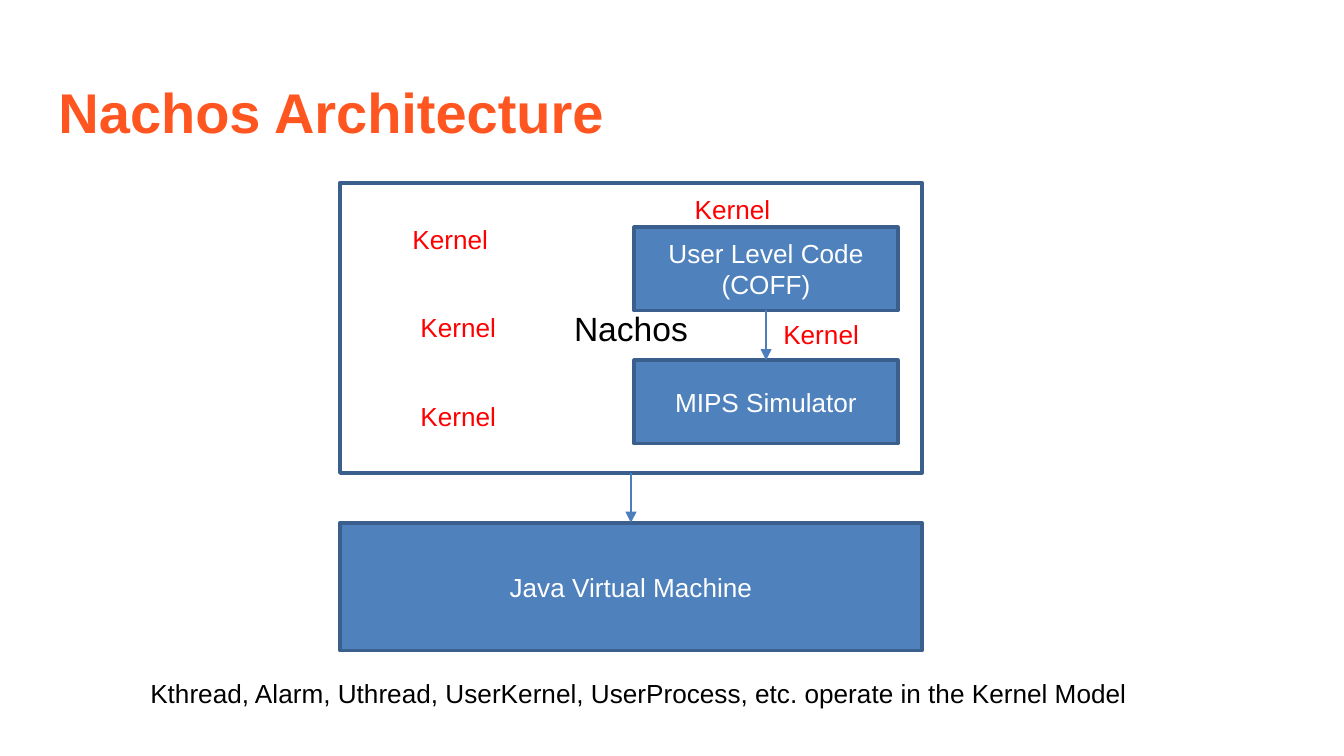
from dataclasses import dataclass
from typing import Optional

from lxml import etree
from pptx import Presentation
from pptx import util as u
from pptx.dml.color import RGBColor
from pptx.enum import shapes, text
from pptx.oxml import ns

SCALE = 4572
FONT = "Arial"
COLORS = {
    "title": "FF5621",
    "box": "4F81BD",
    "border": "3A5F8C",
    "arrow": "4B7EBC",
    "kernel": "FF0000",
    "light": "FFFFFF",
    "dark": "000000",
}


@dataclass
class Box:
    label: str
    x: int
    y: int
    w: int
    h: int
    fill: Optional[str] = "box"
    color: str = "light"
    size: int = 14


@dataclass
class Label:
    label: str
    x: int
    y: int
    w: int = 192
    h: int = 68
    color: str = "kernel"
    wrap: bool = True


JVM = Box("Java Virtual Machine", 506, 778, 866, 190)
MIPS = Box("MIPS Simulator", 944, 536, 392, 124)
NACHOS = Box("Nachos", 506, 272, 866, 432, None, "dark", 18)
USER_CODE = Box("User Level Code (COFF)", 944, 338, 392, 124)
BOXES = [JVM, MIPS, NACHOS, USER_CODE]
ARROWS = [(NACHOS, JVM), (USER_CODE, MIPS)]
KERNEL_SPOTS = [(594, 322), (606, 454), (1014, 278), (1146, 464), (606, 586)]
FOOTNOTE = Label(
    "Kthread, Alarm, Uthread, UserKernel, UserProcess, etc. operate in the Kernel Model",
    204, 998, 1512, 68, "dark", False,
)


def px(n: int) -> u.Emu:
    return u.Emu(n * SCALE)


def rgb(name: str) -> RGBColor:
    return RGBColor.from_string(COLORS[name])


def write(tf, label: str, size: int, color: str, align, bold: bool = False) -> None:
    tf.text = label
    p = tf.paragraphs[0]
    p.alignment = align
    r = p.runs[0]
    r.font.name = FONT
    r.font.size = u.Pt(size)
    r.font.bold = bold
    r.font.color.rgb = rgb(color)


def add_title(s, label: str) -> None:
    sp = s.shapes.title
    sp.left, sp.top, sp.width, sp.height = px(84), px(112), px(1832), px(106)
    tf = sp.text_frame
    tf.margin_left = px(3)
    tf.margin_right = tf.margin_top = tf.margin_bottom = 0
    tf.vertical_anchor = text.MSO_ANCHOR.MIDDLE
    tf.auto_size = text.MSO_AUTO_SIZE.NONE
    write(tf, label, 30, "title", text.PP_ALIGN.LEFT, True)


def add_box(s, box: Box):
    sp = s.shapes.add_shape(
        shapes.MSO_SHAPE.RECTANGLE, px(box.x), px(box.y), px(box.w), px(box.h)
    )
    sp.shadow.inherit = False
    if box.fill:
        sp.fill.solid()
        sp.fill.fore_color.rgb = rgb(box.fill)
    else:
        sp.fill.background()
    sp.line.color.rgb = rgb("border")
    sp.line.width = u.Pt(2)
    tf = sp.text_frame
    tf.vertical_anchor = text.MSO_ANCHOR.MIDDLE
    write(tf, box.label, box.size, box.color, text.PP_ALIGN.CENTER)
    return sp


def add_arrow(s, start, end) -> None:
    cx = s.shapes.add_connector(shapes.MSO_CONNECTOR.STRAIGHT, 0, 0, 0, 0)
    cx.begin_connect(start, 2)
    cx.end_connect(end, 0)
    cx.line.color.rgb = rgb("arrow")
    cx.line.width = u.Pt(0.75)
    ln = cx.line._get_or_add_ln()
    etree.SubElement(ln, ns.qn("a:tailEnd"), type="triangle")
    etree.SubElement(cx._element.spPr, ns.qn("a:effectLst"))


def add_label(s, item: Label) -> None:
    sp = s.shapes.add_textbox(px(item.x), px(item.y), px(item.w), px(item.h))
    tf = sp.text_frame
    tf.word_wrap = item.wrap
    tf.auto_size = text.MSO_AUTO_SIZE.SHAPE_TO_FIT_TEXT
    write(tf, item.label, 14, item.color, text.PP_ALIGN.LEFT)


def main() -> None:
    prs = Presentation()
    prs.slide_width, prs.slide_height = px(2000), px(1125)
    s = prs.slides.add_slide(prs.slide_layouts[5])
    add_title(s, "Nachos Architecture")
    drawn = {box.label: add_box(s, box) for box in BOXES}
    for start, end in ARROWS:
        add_arrow(s, drawn[start.label], drawn[end.label])
    for x, y in KERNEL_SPOTS:
        add_label(s, Label("Kernel", x, y))
    add_label(s, FOOTNOTE)
    prs.save("out.pptx")


if __name__ == "__main__":
    main()
